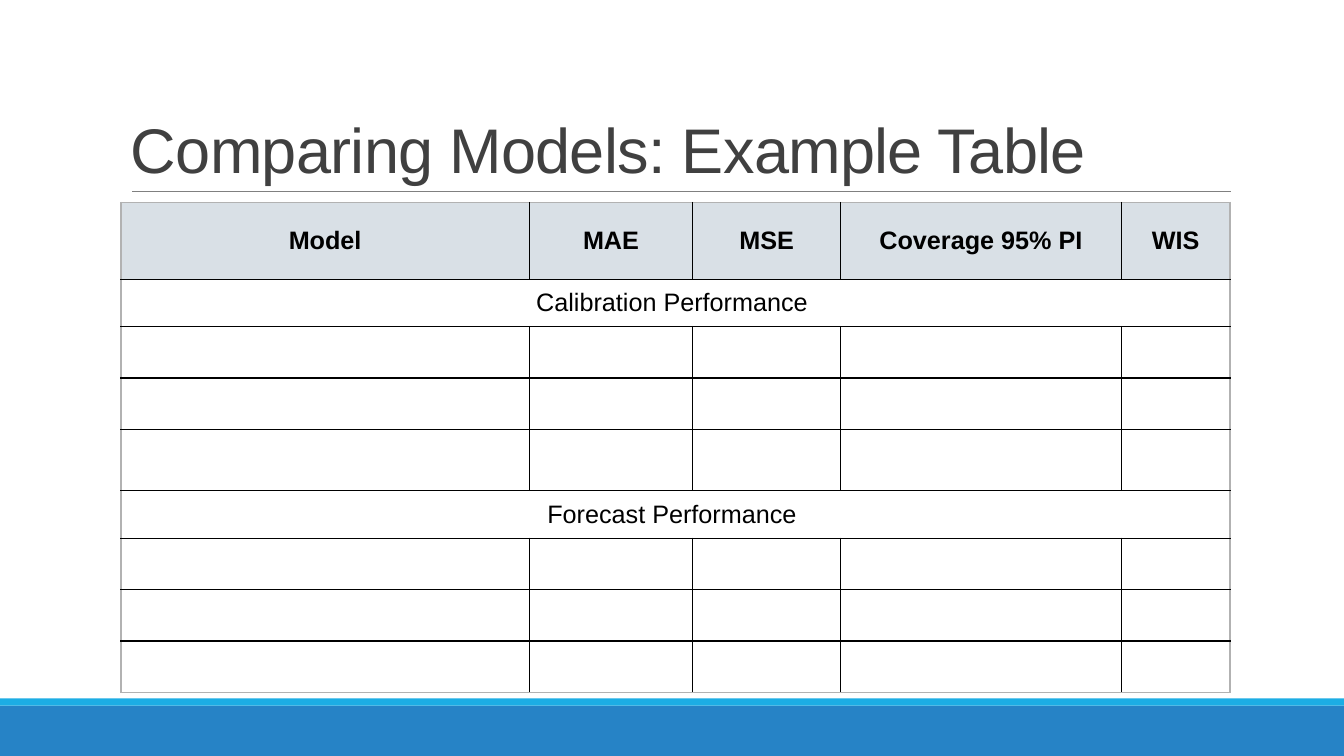
from lxml import etree
from pptx import Presentation
from pptx.dml.color import RGBColor
from pptx.enum.shapes import MSO_CONNECTOR, MSO_SHAPE
from pptx.enum.text import MSO_ANCHOR, PP_ALIGN
from pptx.oxml.ns import qn
from pptx.util import Inches, Pt

RECT = MSO_SHAPE.RECTANGLE
LINE = MSO_CONNECTOR.STRAIGHT
MIDDLE, BOTTOM = MSO_ANCHOR.MIDDLE, MSO_ANCHOR.BOTTOM
CENTER = PP_ALIGN.CENTER

TITLE = "Comparing Models: Example Table"
HEADS = ["Model", "MAE", "MSE", "Coverage 95% PI", "WIS"]
BANDS = {1: "Calibration Performance ", 5: "Forecast Performance "}
COLS = [4.05, 1.62, 1.47, 2.78, 1.08]
ROWS = [0.76, 0.47, 0.51, 0.51, 0.61, 0.47, 0.51, 0.51, 0.51]
BARS = [(7, 0.5, "2683C6"), (6.93, 0.07, "1CADE4")]
LEFT, TOP = 1.2, 2.01
WIDE = 13.33
INK, EDGE, SHADE = "000000", "B2B2B2", "D9E0E6"


def color(code):
    return RGBColor.from_string(code)


def write(para, text, size, code, bold=False):
    run = para.add_run()
    run.text = text
    font = run.font
    font.name, font.size, font.bold = "Arial", Pt(size), bold
    font.color.rgb = color(code)
    return run


def border(cell, side, code):
    props = cell._tc.get_or_add_tcPr()
    line = etree.SubElement(props, qn("a:ln" + side), w=str(Pt(1)))
    fill = etree.SubElement(line, qn("a:solidFill"))
    etree.SubElement(fill, qn("a:srgbClr"), val=code)


def label(cell, text, bold):
    cell.vertical_anchor = MIDDLE
    cell.margin_left = cell.margin_right = Inches(0.13)
    cell.margin_top = cell.margin_bottom = Inches(0.06)
    para = cell.text_frame.paragraphs[0]
    para.alignment = CENTER
    write(para, text, 18, INK, bold)


def add_bars(slide):
    for top, high, code in BARS:
        bar = slide.shapes.add_shape(
            RECT, 0, Inches(top), Inches(WIDE), Inches(high))
        bar.shadow.inherit = False
        bar.fill.solid()
        bar.fill.fore_color.rgb = color(code)
        bar.line.fill.background()


def add_title(slide):
    rule = slide.shapes.add_connector(
        LINE, Inches(1.31), Inches(1.9), Inches(12.21), Inches(1.9))
    rule.line.color.rgb = color("808080")
    rule.line.width = Pt(0.5)
    etree.SubElement(rule._element.spPr, qn("a:effectLst"))

    box = slide.shapes.add_textbox(
        Inches(LEFT), Inches(0.31), Inches(11), Inches(1.59))
    frame = box.text_frame
    frame.word_wrap = True
    frame.vertical_anchor = BOTTOM
    para = frame.paragraphs[0]
    para.line_spacing = 0.85
    run = write(para, TITLE, 45, "404040")
    run._r.get_or_add_rPr().set("spc", "-50")


def add_grid(slide):
    frame = slide.shapes.add_table(
        len(ROWS), len(COLS), Inches(LEFT), Inches(TOP),
        Inches(sum(COLS)), Inches(sum(ROWS)))
    table = frame.table
    table.first_row = table.horz_banding = False
    for col, wide in zip(table.columns, COLS):
        col.width = Inches(wide)
    for row, high in zip(table.rows, ROWS):
        row.height = Inches(high)

    end, last = len(COLS) - 1, len(ROWS) - 1
    for r in range(len(ROWS)):
        band = r in BANDS
        if band:
            table.cell(r, 0).merge(table.cell(r, end))
        for c in range(len(COLS)):
            cell = table.cell(r, c)
            if c == 0 or not band:
                border(cell, "L", INK if c else EDGE)
                border(cell, "R", EDGE if band or c == end else INK)
            border(cell, "T", INK if r else EDGE)
            border(cell, "B", EDGE if r == last else INK)
            if r == 0:
                cell.fill.solid()
                cell.fill.fore_color.rgb = color(SHADE)
                label(cell, HEADS[c], True)
            else:
                cell.fill.background()
        if band:
            label(table.cell(r, 0), BANDS[r], False)


def main():
    deck = Presentation()
    deck.slide_width, deck.slide_height = Inches(WIDE), Inches(7.5)
    slide = deck.slides.add_slide(deck.slide_layouts[6])
    add_bars(slide)
    add_title(slide)
    add_grid(slide)
    deck.save("out.pptx")


if __name__ == "__main__":
    main()
